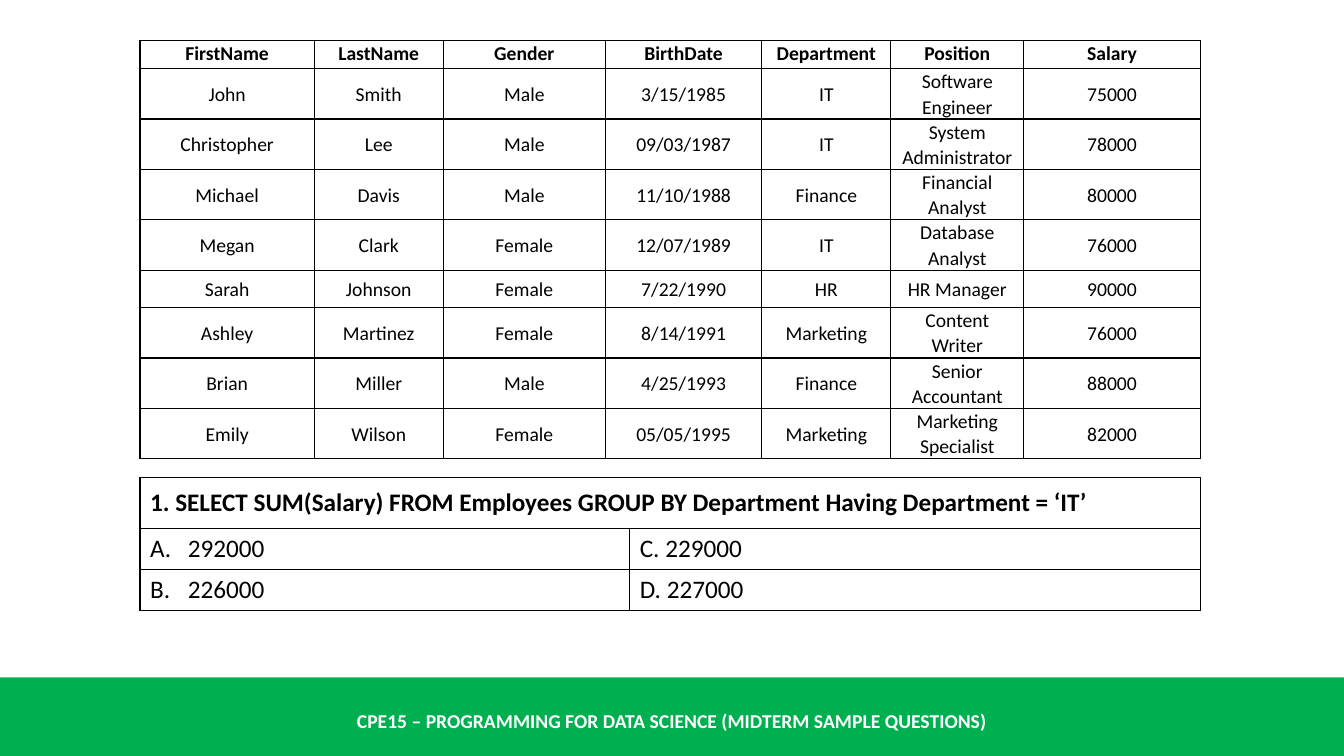
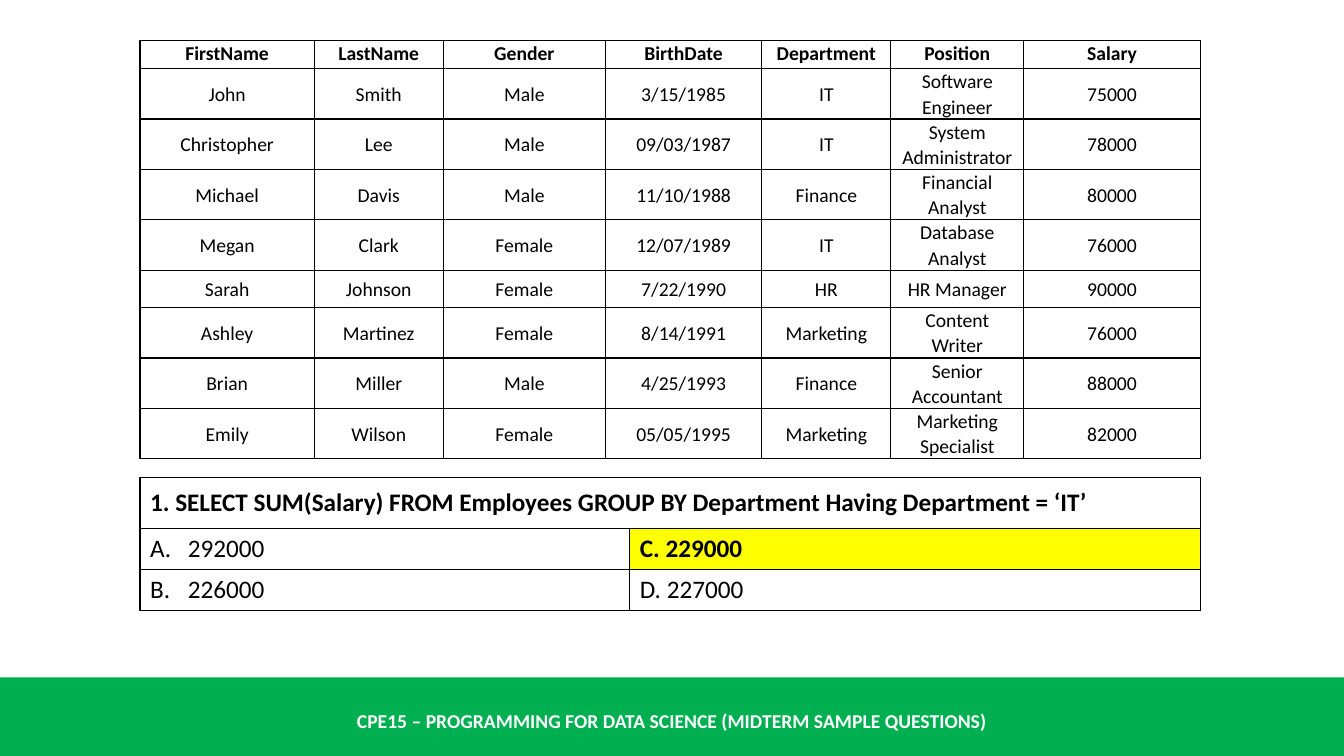
from dataclasses import dataclass
from typing import Optional

from lxml import etree
from pptx import Presentation
from pptx.dml.color import RGBColor
from pptx.enum import shapes, text
from pptx.oxml import ns
from pptx.util import Cm, Pt

COLORS = {
    "band": "00B050",
    "band_text": "FFFFFF",
    "text": "000000",
    "border": "000000",
    "cell": "FFFFFF",
    "answer": "FFFF00",
}
FONT = "Calibri"
SLIDE_WIDTH, SLIDE_HEIGHT = Cm(33.87), Cm(19.05)
BAND_TOP = Cm(17.07)
TABLE_LEFT = Cm(3.53)
FOOTER = "CPE15 – PROGRAMMING FOR DATA SCIENCE (MIDTERM SAMPLE QUESTIONS)"

EMPLOYEE_WIDTHS = [4.39, 3.25, 4.09, 3.94, 3.25, 3.35, 4.45]
EMPLOYEE_FIELDS = ["FirstName", "LastName", "Gender", "BirthDate",
                   "Department", "Position", "Salary"]
EMPLOYEES = [
    ["John", "Smith", "Male", "3/15/1985", "IT", "Software Engineer", "75000"],
    ["Christopher", "Lee", "Male", "09/03/1987", "IT", "System Administrator", "78000"],
    ["Michael", "Davis", "Male", "11/10/1988", "Finance", "Financial Analyst", "80000"],
    ["Megan", "Clark", "Female", "12/07/1989", "IT", "Database Analyst", "76000"],
    ["Sarah", "Johnson", "Female", "7/22/1990", "HR", "HR Manager", "90000"],
    ["Ashley", "Martinez", "Female", "8/14/1991", "Marketing", "Content Writer", "76000"],
    ["Brian", "Miller", "Male", "4/25/1993", "Finance", "Senior Accountant", "88000"],
    ["Emily", "Wilson", "Female", "05/05/1995", "Marketing", "Marketing Specialist", "82000"],
]
HEADER_HEIGHT, ONE_LINE_HEIGHT, TWO_LINE_HEIGHT = 0.71, 0.94, 1.27

QUESTION_WIDTHS = [12.34, 14.38]
QUESTION_HEIGHTS = [1.29, 1.03, 1.03]


@dataclass(frozen=True)
class Option:
    label: str
    row: int
    column: int
    number: Optional[int] = None  # position in the automatic A., B. list


@dataclass(frozen=True)
class Question:
    wording: str
    options: tuple[Option, ...]
    answer: Option


OPTION_C = Option("C. 229000", 1, 1)
QUESTION = Question(
    "1. SELECT SUM(Salary) FROM Employees GROUP BY Department Having Department = ‘IT’",
    (Option("292000", 1, 0, 1), Option("226000", 2, 0, 2),
     OPTION_C, Option("D. 227000", 2, 1)),
    OPTION_C,
)


def rgb(name: str) -> RGBColor:
    return RGBColor.from_string(COLORS[name])


def write(frame, wording: str, size: int, bold: bool = False, color: str = "text"):
    """Set a one-paragraph text, format its run and return the paragraph."""
    frame.text = wording
    paragraph = frame.paragraphs[0]
    font = paragraph.runs[0].font
    font.name, font.size, font.bold = FONT, Pt(size), bold
    font.color.rgb = rgb(color)
    return paragraph


def add_footer_band(layout, slide) -> None:
    """Draw the band on a slide, then move it to the layout all slides share."""
    for placeholder in list(layout.placeholders):
        placeholder.element.getparent().remove(placeholder.element)
    band = slide.shapes.add_shape(shapes.MSO_SHAPE.RECTANGLE, 0, BAND_TOP,
                                  SLIDE_WIDTH, SLIDE_HEIGHT - BAND_TOP)
    band.shadow.inherit = False
    band.fill.solid()
    band.fill.fore_color.rgb = rgb("band")
    band.line.fill.background()
    course = slide.shapes.add_textbox(0, Cm(17.65), SLIDE_WIDTH, Cm(1.02))
    course.text_frame.word_wrap = True
    course.text_frame.vertical_anchor = text.MSO_ANCHOR.MIDDLE
    title = write(course.text_frame, FOOTER, 14, True, "band_text")
    title.alignment = text.PP_ALIGN.CENTER
    for part in (band, course):
        layout.element.cSld.spTree.append(part.element)


def style_cell(cell, fill: str = "cell") -> None:
    properties = cell._tc.get_or_add_tcPr()
    for side in ("lnL", "lnR", "lnT", "lnB"):
        line = etree.SubElement(properties, ns.qn(f"a:{side}"), w=str(Pt(1)))
        solid = etree.SubElement(line, ns.qn("a:solidFill"))
        etree.SubElement(solid, ns.qn("a:srgbClr"), val=COLORS["border"])
    cell.fill.solid()
    cell.fill.fore_color.rgb = rgb(fill)
    cell.vertical_anchor = text.MSO_ANCHOR.MIDDLE


def add_grid(slide, top: Cm, widths: list[float], heights: list[float]):
    """Add an unbanded table with the given column widths and row heights in cm."""
    grid = slide.shapes.add_table(len(heights), len(widths), TABLE_LEFT, top,
                                  Cm(sum(widths)), Cm(sum(heights))).table
    grid.first_row = grid.horz_banding = False
    for column, width in zip(grid.columns, widths):
        column.width = Cm(width)
    for row, height in zip(grid.rows, heights):
        row.height = Cm(height)
    return grid


def add_employees(slide) -> None:
    heights = [HEADER_HEIGHT] + [
        ONE_LINE_HEIGHT if employee[5] == "HR Manager" else TWO_LINE_HEIGHT
        for employee in EMPLOYEES]
    grid = add_grid(slide, Cm(1.02), EMPLOYEE_WIDTHS, heights)
    for row, values in enumerate([EMPLOYEE_FIELDS] + EMPLOYEES):
        for column, value in enumerate(values):
            cell = grid.cell(row, column)
            style_cell(cell)
            cell.margin_left = cell.margin_right = Cm(0.18)
            cell.margin_top = cell.margin_bottom = 0
            if row == 0:
                cell.vertical_anchor = text.MSO_ANCHOR.TOP
            paragraph = write(cell.text_frame, value, 14, row == 0)
            paragraph.alignment = text.PP_ALIGN.CENTER
            paragraph.line_spacing = 1.06


def number_paragraph(paragraph, number: int) -> None:
    properties = paragraph._p.get_or_add_pPr()
    indent = Cm(0.95)
    properties.set("marL", str(indent))
    properties.set("indent", str(-indent))
    etree.SubElement(properties, ns.qn("a:buAutoNum"),
                     type="alphaUcPeriod", startAt=str(number))


def add_question(slide, question: Question, show_answer: bool) -> None:
    grid = add_grid(slide, Cm(12.03), QUESTION_WIDTHS, QUESTION_HEIGHTS)
    heading = grid.cell(0, 0)
    heading.merge(grid.cell(0, 1))
    for column in range(2):
        style_cell(grid.cell(0, column))
    write(heading.text_frame, question.wording, 18, True)
    for option in question.options:
        marked = show_answer and option == question.answer
        cell = grid.cell(option.row, option.column)
        style_cell(cell, "answer" if marked else "cell")
        paragraph = write(cell.text_frame, option.label, 18, marked)
        if option.number:
            number_paragraph(paragraph, option.number)


def main() -> None:
    deck = Presentation()
    deck.slide_width, deck.slide_height = SLIDE_WIDTH, SLIDE_HEIGHT
    blank = deck.slide_layouts[6]
    for show_answer in (False, True):
        slide = deck.slides.add_slide(blank)
        if not show_answer:
            add_footer_band(blank, slide)
        add_employees(slide)
        add_question(slide, QUESTION, show_answer)
    deck.save("out.pptx")


if __name__ == "__main__":
    main()
